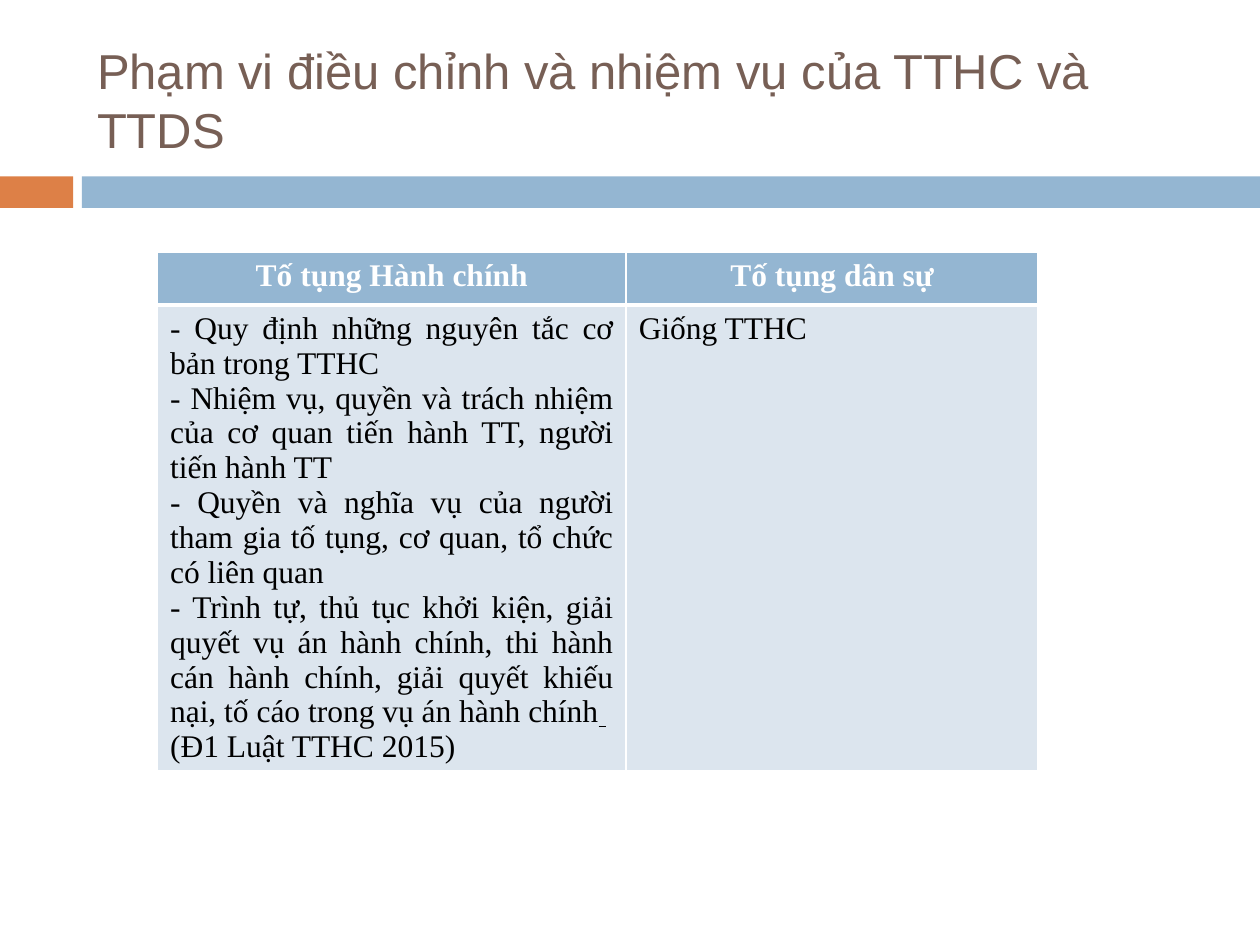
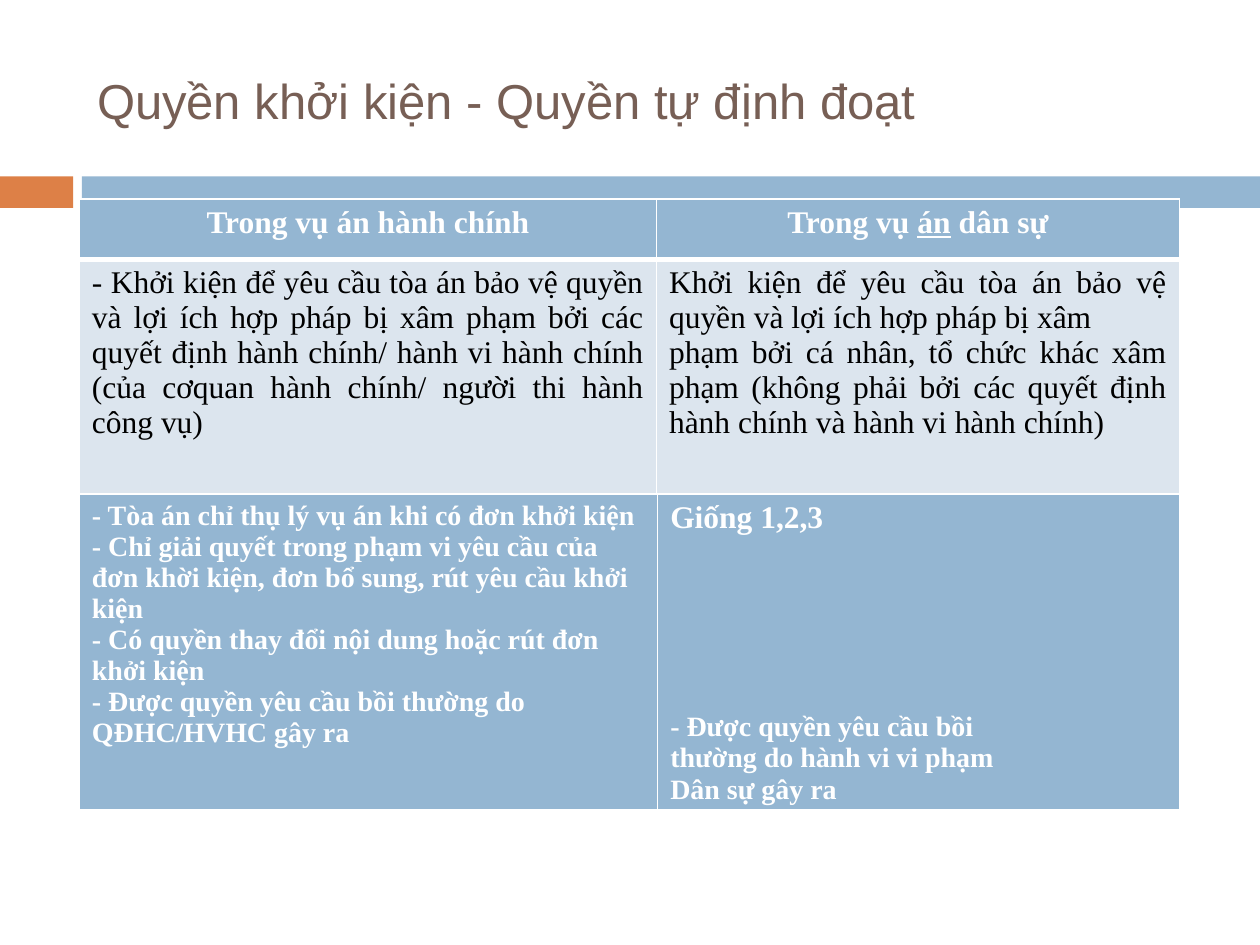
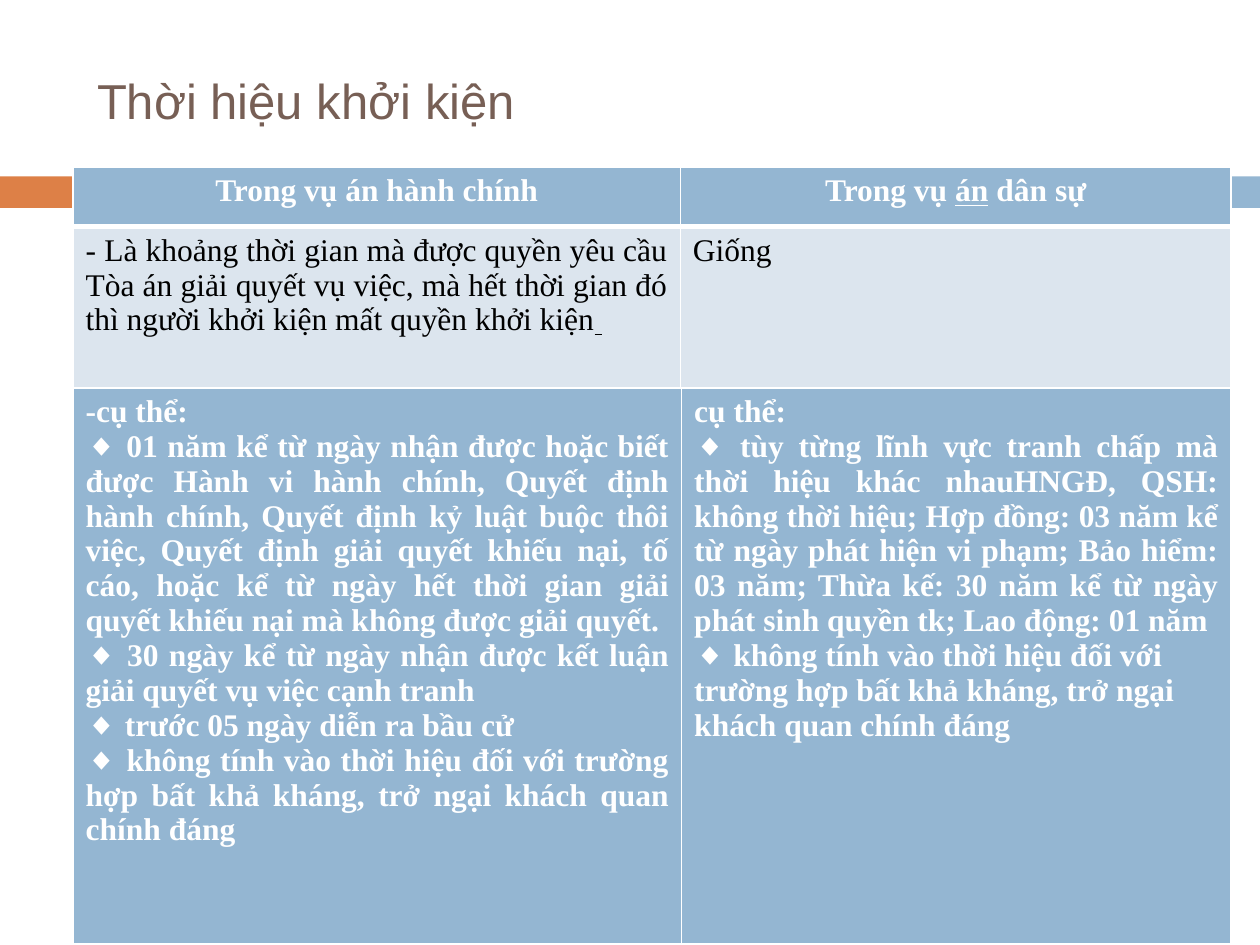
from dataclasses import dataclass

import pptx
import pptx.dml.color
import pptx.enum.shapes
import pptx.enum.text
import pptx.oxml
import pptx.oxml.ns
import pptx.util

ALIGN = pptx.enum.text.PP_ALIGN
COLUMNS, ROWS = 100, 75
WIDTH, HEIGHT = pptx.util.Inches(10), pptx.util.Inches(7.5)
ORANGE, BLUE, PALE = "DD8047", "94B6D2", "DCE5EE"
BROWN, WHITE, BLACK = "775F55", "FFFFFF", "000000"
TITLE_FONT, TABLE_FONT = "Arial", "Times New Roman"


@dataclass
class Para:
    text: str
    align: ALIGN = ALIGN.JUSTIFY
    size: float = 18
    before: float = 0


@dataclass
class Style:
    fill: str
    color: str
    bold: bool
    bottom: float


@dataclass
class Grid:
    """A table placed in grid units; each row has a style and its cells."""
    left: float
    top: float
    widths: list[float]
    heights: list[float]
    rows: list[tuple[Style, list[list[Para]]]]


@dataclass
class Page:
    title: str
    grids: list[Grid]


STRONG = Style(BLUE, WHITE, True, 3)
LIGHT = Style(PALE, BLACK, False, 1)


def col(n: float) -> int:
    return round(WIDTH * n / COLUMNS)


def row(n: float) -> int:
    return round(HEIGHT * n / ROWS)


def rgb(value: str) -> pptx.dml.color.RGBColor:
    return pptx.dml.color.RGBColor.from_string(value)


def paras(*texts: str, align: ALIGN = ALIGN.JUSTIFY, size: float = 18) -> list[Para]:
    return [Para(text, align, size) for text in texts]


def header(*texts: str) -> tuple[Style, list[list[Para]]]:
    return STRONG, [paras(text, align=ALIGN.CENTER) for text in texts]


def write(p, text: str, *, size: float, font: str, color: str, bold: bool = False,
          align: ALIGN = ALIGN.LEFT, before: float = 0) -> None:
    """Fill a paragraph; text between underscores is underlined."""
    p.alignment = align
    if before:
        p.space_before = pptx.util.Pt(before)
    for i, part in enumerate(text.split("_")):
        if part:
            r = p.add_run()
            r.text = part
            r.font.size, r.font.name = pptx.util.Pt(size), font
            r.font.bold, r.font.underline = bold, i % 2 == 1
            r.font.color.rgb = rgb(color)


def set_borders(cell, bottom: float) -> None:
    tc_pr = cell._tc.get_or_add_tcPr()
    for i, (side, width) in enumerate(zip("LRTB", (1, 1, 1, bottom))):
        tc_pr.insert(i, pptx.oxml.parse_xml(
            f'<a:ln{side} {pptx.oxml.ns.nsdecls("a")} w="{pptx.util.Pt(width)}">'
            f'<a:solidFill><a:srgbClr val="{WHITE}"/></a:solidFill></a:ln{side}>'))


def fill_cell(cell, content: list[Para], style: Style) -> None:
    cell.fill.solid()
    cell.fill.fore_color.rgb = rgb(style.fill)
    set_borders(cell, style.bottom)
    tf = cell.text_frame
    for i, item in enumerate(content):
        p = tf.add_paragraph() if i else tf.paragraphs[0]
        write(p, item.text, size=item.size, font=TABLE_FONT, color=style.color,
              bold=style.bold, align=item.align, before=item.before)


def add_grid(s, grid: Grid) -> None:
    table = s.shapes.add_table(
        len(grid.heights), len(grid.widths), col(grid.left), row(grid.top),
        col(sum(grid.widths)), row(sum(grid.heights))).table
    table.horz_banding = False
    for column, width in zip(table.columns, grid.widths):
        column.width = col(width)
    for r, (height, (style, cells)) in enumerate(zip(grid.heights, grid.rows)):
        table.rows[r].height = row(height)
        for c, content in enumerate(cells):
            fill_cell(table.cell(r, c), content, style)


def add_title(s, text: str) -> None:
    tf = s.shapes.title.text_frame
    tf.word_wrap = True
    tf.auto_size = pptx.enum.text.MSO_AUTO_SIZE.NONE
    tf.vertical_anchor = pptx.enum.text.MSO_ANCHOR.MIDDLE
    write(tf.paragraphs[0], text, size=28, font=TITLE_FONT, color=BROWN)


def prepare_layout(layout, s) -> None:
    """Place the title and move two bands, drawn on s, to the layout."""
    title = next(sp for sp in layout.placeholders if sp.placeholder_format.idx == 0)
    title.left, title.top = col(6.7), row(2.5)
    title.width, title.height = col(89.2), row(10.8)
    for left, width, color in ((0, 5.8, ORANGE), (6.5, 93.5, BLUE)):
        sp = s.shapes.add_shape(pptx.enum.shapes.MSO_SHAPE.RECTANGLE,
                                col(left), row(14), col(width), row(2.5))
        sp.shadow.inherit = False
        sp.fill.solid()
        sp.fill.fore_color.rgb = rgb(color)
        sp.line.fill.background()
        layout.shapes.element.append(sp.element)


CASE_HEADER = header("Trong vụ án hành chính", "Trong vụ _án_ dân sự")

PAGES = [
    Page("Phạm vi điều chỉnh và nhiệm vụ của TTHC và TTDS", [
        Grid(12.5, 20, [37.2, 32.7], [4.2, 36.9], [
            header("Tố tụng Hành chính", "Tố tụng dân sự"),
            (LIGHT, [
                paras("- Quy định những nguyên tắc cơ bản trong TTHC",
                      "- Nhiệm vụ, quyền và trách nhiệm của cơ quan tiến hành TT, "
                      "người tiến hành TT",
                      "- Quyền và nghĩa vụ của người tham gia tố tụng, cơ quan, "
                      "tổ chức có liên quan",
                      "- Trình tự, thủ tục khởi kiện, giải quyết vụ án hành chính, "
                      "thi hành cán hành chính, giải quyết khiếu nại, tố cáo trong "
                      "vụ án hành chính_ _",
                      "(Đ1 Luật TTHC 2015)"),
                paras("Giống TTHC", align=ALIGN.LEFT)]),
        ]),
    ]),
    Page("Quyền khởi kiện - Quyền tự định đoạt", [
        Grid(6.3, 15.8, [45.8, 41.5], [4.8, 25.9], [
            CASE_HEADER,
            (LIGHT, [
                paras("- Khởi kiện để yêu cầu tòa án bảo vệ quyền và lợi ích hợp pháp "
                      "bị xâm phạm bởi các quyết định hành chính/ hành vi hành chính "
                      "(của cơquan hành chính/ người thi hành công vụ)"),
                paras("Khởi kiện để yêu cầu tòa án bảo vệ quyền và lợi ích hợp pháp "
                      "bị xâm",
                      "phạm bởi cá nhân, tổ chức khác xâm phạm (không phải bởi các "
                      "quyết định hành chính và hành vi hành chính)")]),
        ]),
        Grid(6.3, 39.2, [45.9, 41.4], [25.2], [
            (STRONG, [
                paras("- Tòa án chỉ thụ lý vụ án khi có đơn khởi kiện",
                      "- Chỉ giải quyết trong phạm vi yêu cầu của đơn khời kiện, "
                      "đơn bổ sung, rút yêu cầu khởi kiện",
                      "- Có quyền thay đổi nội dung hoặc rút đơn khởi kiện",
                      "- Được quyền yêu cầu bồi thường do QĐHC/HVHC gây ra",
                      align=ALIGN.LEFT, size=16),
                [Para("Giống 1,2,3", ALIGN.LEFT),
                 Para("- Được quyền yêu cầu bồi", ALIGN.LEFT, 16, before=101),
                 *paras("thường do hành vi vi phạm", "Dân sự gây ra",
                        align=ALIGN.LEFT, size=16)]]),
        ]),
    ]),
    Page("Thời hiệu khởi kiện", [
        Grid(5.8, 13.3, [48.2, 43.7], [4.7, 25.5], [
            CASE_HEADER,
            (LIGHT, [
                paras("- Là khoảng thời gian mà được quyền yêu cầu Tòa án giải quyết "
                      "vụ việc, mà hết thời gian đó thì người khởi kiện mất quyền "
                      "khởi kiện_ _"),
                paras("Giống")]),
        ]),
        Grid(5.8, 30.8, [48.3, 43.6], [44.2], [
            (STRONG, [
                paras("-cụ thể:",
                      "◆ 01 năm kể từ ngày nhận được hoặc biết được Hành vi hành chính, "
                      "Quyết định hành chính, Quyết định kỷ luật buộc thôi việc, Quyết "
                      "định giải quyết khiếu nại, tố cáo, hoặc kể từ ngày hết thời gian "
                      "giải quyết khiếu nại mà không được giải quyết.",
                      "◆ 30 ngày kể từ ngày nhận được kết luận giải quyết vụ việc "
                      "cạnh tranh",
                      "◆ trước 05 ngày diễn ra bầu cử",
                      "◆ không tính vào thời hiệu đối với trường hợp bất khả kháng, "
                      "trở ngại khách quan chính đáng"),
                paras("cụ thể:",
                      "◆ tùy từng lĩnh vực tranh chấp mà thời hiệu khác nhauHNGĐ, QSH: "
                      "không thời hiệu; Hợp đồng: 03 năm kể từ ngày phát hiện vi phạm; "
                      "Bảo hiểm: 03 năm; Thừa kế: 30 năm kể từ ngày phát sinh quyền tk; "
                      "Lao động: 01 năm",
                      "◆ không tính vào thời hiệu đối với",
                      "trường hợp bất khả kháng, trở ngại",
                      "khách quan chính đáng")]),
        ]),
    ]),
]


def main() -> None:
    prs = pptx.Presentation()
    prs.slide_width, prs.slide_height = WIDTH, HEIGHT
    layout = prs.slide_layouts.get_by_name("Title Only")
    for i, page in enumerate(PAGES):
        s = prs.slides.add_slide(layout)
        if i == 0:
            prepare_layout(layout, s)
        add_title(s, page.title)
        for grid in page.grids:
            add_grid(s, grid)
    prs.save("out.pptx")


if __name__ == "__main__":
    main()
